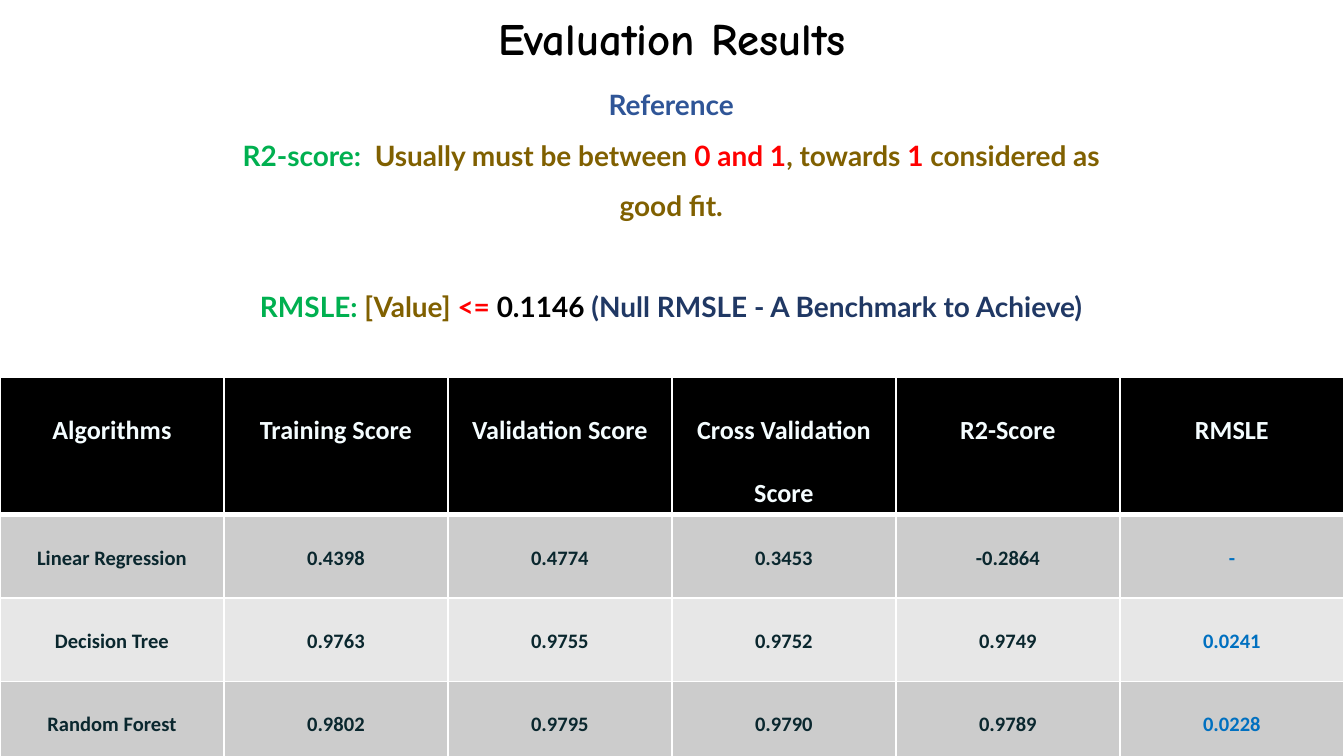
from lxml import etree
from pptx import Presentation, util as u
from pptx.dml.color import RGBColor
from pptx.enum import text
from pptx.oxml import ns

THEME = {
    "black": "000000", "white": "FFFFFF", "blue": "2F5597", "green": "00B050",
    "olive": "806000", "red": "FF0000", "navy": "203864",
    "head_text": "F5FDFF", "cell_text": "0A272E", "rmsle": "0070C0",
    "dark_band": "CCCCCC", "light_band": "E7E7E7",
    "title": {"name": "Comic Neue", "size": u.Pt(24), "bold": True},
    "body": {"name": "Lato", "size": u.Pt(15), "bold": True},
    "head": {"name": "Calibri", "size": u.Pt(14), "bold": True},
    "cell": {"name": "Calibri", "size": u.Pt(11), "bold": True},
}
# Three quarters of the default insets, to suit the 10-inch page
SIDE, EDGE = u.Inches(0.1 * 3 / 4), u.Inches(0.05 * 3 / 4)
MARGINS = {"margin_left": SIDE, "margin_right": SIDE,
           "margin_top": EDGE, "margin_bottom": EDGE}


def write(p, runs, style, spacing):
    """Fill a centred paragraph with (text, colour name) runs."""
    p.alignment = text.PP_ALIGN.CENTER
    p.line_spacing = spacing
    for words, color in runs:
        r = p.add_run()
        r.text = words
        for key, value in THEME[style].items():
            setattr(r.font, key, value)
        r.font.color.rgb = RGBColor.from_string(THEME[color])


def border(cell, side, width):
    """Draw one white cell border, width in points."""
    ln = etree.SubElement(cell._tc.get_or_add_tcPr(), ns.qn(f"a:ln{side}"), w=str(u.Pt(width)))
    fill = etree.SubElement(ln, ns.qn("a:solidFill"))
    etree.SubElement(fill, ns.qn("a:srgbClr"), val=THEME["white"])


# A 16:9 page, 10 inches wide
prs = Presentation()
prs.slide_width, prs.slide_height = u.Inches(10), u.Inches(10 * 9 / 16)
s = prs.slides.add_slide(prs.slide_layouts[1])
title, body = s.shapes.title, s.placeholders[1]

# Place the title and body
for sp, box in ((title, (0, 0.04, 10, 0.48)), (body, (1.69, 0.49, 6.61, 2.42))):
    sp.left, sp.top, sp.width, sp.height = map(u.Inches, box)
    frame = {**MARGINS, "word_wrap": True, "auto_size": text.MSO_AUTO_SIZE.NONE,
             "vertical_anchor": text.MSO_ANCHOR.TOP}
    for key, value in frame.items():
        setattr(sp.text_frame, key, value)

write(title.text_frame.paragraphs[0], [("Evaluation Results", "black")], "title", 1.0)

# Reference notes: runs and space before, in points
notes = [
    ([("Reference", "blue")], 0),
    ([("R2-score:  ", "green"), ("Usually must be between ", "olive"), ("0 and 1", "red"),
      (", towards ", "olive"), ("1", "red"), (" considered as good fit.", "olive")], 0),
    ([("RMSLE:", "green"), (" [Value] ", "olive"), ("<= ", "red"), ("0.1146 ", "black"),
      ("(Null RMSLE - A Benchmark to Achieve)", "navy")], 27),
]
tf = body.text_frame
for i, (runs, before) in enumerate(notes):
    p = tf.paragraphs[0] if i == 0 else tf.add_paragraph()
    pPr = p._p.get_or_add_pPr()
    pPr.set("marL", "0")
    pPr.set("indent", "0")
    etree.SubElement(pPr, ns.qn("a:buNone"))
    p.space_before = u.Pt(before)
    write(p, runs, "body", 1.5)

# Score table
rows = [
    ["Algorithms", "Training Score", "Validation Score", "Cross Validation Score",
     "R2-Score", "RMSLE"],
    ["Linear Regression", "0.4398", "0.4774", "0.3453", "-0.2864", "-"],
    ["Decision Tree", "0.9763", "0.9755", "0.9752", "0.9749", "0.0241"],
    ["Random Forest", "0.9802", "0.9795", "0.9790", "0.9789", "0.0228"],
]
heights = [0.95, 0.62, 0.62, 0.62]
table = s.shapes.add_table(len(rows), len(rows[0]), 0, u.Inches(2.81),
                           u.Inches(10), u.Inches(sum(heights))).table
for y, values in enumerate(rows):
    table.rows[y].height = u.Inches(heights[y])
    band = "black" if y == 0 else "dark_band" if y % 2 else "light_band"
    for x, value in enumerate(values):
        cell = table.cell(y, x)
        for key, margin in MARGINS.items():
            setattr(cell, key, margin)
        # The rule under the header is thicker than the others
        widths = {"L": 1, "R": 1, "T": 3 if y == 1 else 1, "B": 3 if y == 0 else 1}
        for side, width in widths.items():
            border(cell, side, width)
        cell.fill.solid()
        cell.fill.fore_color.rgb = RGBColor.from_string(THEME[band])
        last = x == len(values) - 1
        color = "head_text" if y == 0 else "rmsle" if last else "cell_text"
        write(cell.text_frame.paragraphs[0], [(value, color)], "cell" if y else "head", 2.0)

prs.save("out.pptx")
